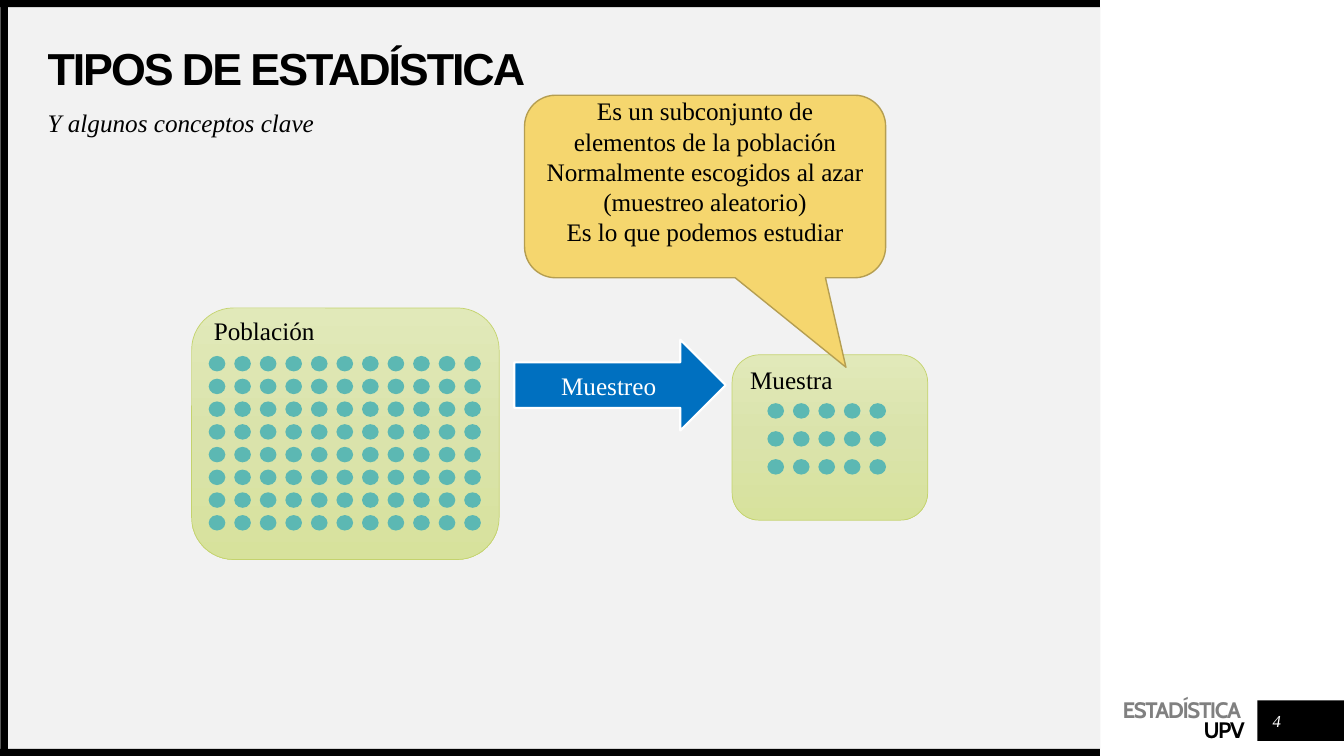
from copy import deepcopy
from dataclasses import dataclass

from pptx import Presentation
from pptx.dml.color import RGBColor as RGB
from pptx.enum.shapes import MSO_SHAPE as Preset
from pptx.enum.text import MSO_ANCHOR as Anchor, PP_ALIGN as Align
from pptx.oxml.ns import qn
from pptx.shapes.autoshape import Shape
from pptx.shapes.shapetree import SlideShapes
from pptx.util import Cm, Length, Pt


@dataclass(frozen=True)
class Theme:
    black: str = "000000"
    white: str = "FFFFFF"
    panel: str = "F2F2F2"
    brand_gray: str = "808080"
    group_stops: tuple[str, ...] = ("E1E9B9", "DAE3AB", "D7E29C")
    group_line: str = "C4D36D"
    element: str = "5CB8B3"
    callout: str = "F5D66E"
    callout_line: str = "B59E51"
    arrow: str = "0070C0"
    title_font: str = "Arial"
    body_font: str = "Times New Roman"
    brand_font: str = "Cabin"
    title_size: int = 32
    body_size: int = 18
    brand_size: int = 16
    number_size: int = 12


@dataclass(frozen=True)
class Box:
    left: float
    top: float
    width: float
    height: float

    def lengths(self) -> tuple[Length, ...]:
        return Cm(self.left), Cm(self.top), Cm(self.width), Cm(self.height)


@dataclass(frozen=True)
class Group:
    label: str
    box: Box
    label_inset: float
    columns: int
    rows: int
    first: tuple[float, float]
    last: tuple[float, float]


THEME = Theme()
ELEMENT_WIDTH, ELEMENT_HEIGHT = 0.42, 0.39

FRAME = (
    (Box(0.2, 0.18, 27.53, 18.69), THEME.panel),
    (Box(31.69, 17.65, 2.18, 1.02), THEME.black),
    (Box(0, 18.87, 27.72, 0.18), THEME.black),
    (Box(0, 0, 27.72, 0.18), THEME.black),
    (Box(0.01, 0.09, 0.19, 18.96), THEME.black),
)

GROUPS = (
    Group("Población", Box(4.83, 7.76, 7.75, 6.34), -0.12, 11, 8, (5.26, 8.97), (11.7, 12.98)),
    Group("Muestra", Box(18.45, 8.94, 4.93, 4.17), 0.05, 5, 3, (19.34, 10.16), (21.91, 11.57)),
)


def write(shape: Shape, *paragraphs: str, size: int = THEME.body_size,
          font: str = THEME.body_font, colors: tuple[str, ...] = (THEME.black,),
          bold: bool = False, italic: bool = False, align: Align = Align.LEFT,
          anchor: Anchor = Anchor.TOP, line_spacing: float | Length = 1.0,
          tracking: float = 0,
          insets: tuple[float, float, float, float] = (0, 0, 0, 0)) -> None:
    frame = shape.text_frame
    frame.word_wrap = True
    frame.vertical_anchor = anchor
    (frame.margin_left, frame.margin_top,
     frame.margin_right, frame.margin_bottom) = map(Cm, insets)
    for index, text in enumerate(paragraphs):
        paragraph = frame.add_paragraph() if index else frame.paragraphs[0]
        paragraph.alignment = align
        paragraph.line_spacing = line_spacing
        run = paragraph.add_run()
        run.text = text
        run.font.name = font
        run.font.size = Pt(size)
        run.font.bold = bold
        run.font.italic = italic
        run.font.color.rgb = RGB.from_string(colors[index % len(colors)])
        if tracking:
            run._r.get_or_add_rPr().set("spc", str(round(tracking * 100)))


def add_preset(shapes: SlideShapes, preset: Preset, box: Box, fill: str | None = None,
               line: str | None = None, line_width: float = 1) -> Shape:
    shape = shapes.add_shape(preset, *box.lengths())
    shape.shadow.inherit = False
    if fill:
        shape.fill.solid()
        shape.fill.fore_color.rgb = RGB.from_string(fill)
    if line:
        shape.line.color.rgb = RGB.from_string(line)
        shape.line.width = Pt(line_width)
    else:
        shape.line.fill.background()
    return shape


def shade(shape: Shape, colors: tuple[str, ...]) -> None:
    shape.fill.gradient()
    shape.fill.gradient_angle = 270
    stop_list = shape._element.spPr.find(".//" + qn("a:gsLst"))
    stop_list.insert(1, deepcopy(stop_list[0]))
    for index, (stop, color) in enumerate(zip(shape.fill.gradient_stops, colors)):
        stop.position = index / (len(colors) - 1)
        stop.color.rgb = RGB.from_string(color)


def draw_group(shapes: SlideShapes, group: Group) -> None:
    container = add_preset(shapes, Preset.ROUNDED_RECTANGLE, group.box,
                           line=THEME.group_line, line_width=0.5)
    shade(container, THEME.group_stops)
    write(container, group.label, insets=(0.25, group.label_inset, 0.25, 0))
    column_step = (group.last[0] - group.first[0]) / (group.columns - 1)
    row_step = (group.last[1] - group.first[1]) / (group.rows - 1)
    for row in range(group.rows):
        for column in range(group.columns):
            place = Box(group.first[0] + column * column_step,
                        group.first[1] + row * row_step, ELEMENT_WIDTH, ELEMENT_HEIGHT)
            add_preset(shapes, Preset.OVAL, place, THEME.element)


def draw_texts(shapes: SlideShapes) -> None:
    brand = shapes.add_textbox(*Box(26.75, 17.63, 4.62, 1.12).lengths())
    write(brand, "ESTADÍSTICA ", "UPV", size=THEME.brand_size, font=THEME.brand_font,
          colors=(THEME.brand_gray, THEME.black), bold=True, align=Align.RIGHT,
          line_spacing=Pt(14), tracking=-1, insets=(0, 0.1, 0, 0))
    title = shapes.add_textbox(*Box(1.2, 1.2, 25.55, 1.2).lengths())
    write(title, "TIPOS DE ESTADÍSTICA", size=THEME.title_size, font=THEME.title_font,
          bold=True, anchor=Anchor.MIDDLE, line_spacing=0.9, tracking=-1.5)
    subtitle = shapes.add_textbox(*Box(1.2, 2.79, 25.55, 1).lengths())
    write(subtitle, "Y algunos conceptos clave", italic=True, line_spacing=0.9)
    page_number = shapes.add_textbox(*Box(31.8, 17.78, 0.76, 0.76).lengths())
    write(page_number, "4", size=THEME.number_size, colors=(THEME.white,), italic=True,
          align=Align.CENTER, anchor=Anchor.MIDDLE)


def draw_sampling(shapes: SlideShapes) -> None:
    definition = add_preset(shapes, Preset.ROUNDED_RECTANGULAR_CALLOUT,
                            Box(13.22, 2.4, 9.1, 4.6), THEME.callout, THEME.callout_line)
    for index, value in enumerate((0.39, 0.99, 0.17)):
        definition.adjustments[index] = value
    write(definition, "Es un subconjunto de elementos de la población",
          "Normalmente escogidos al azar (muestreo aleatorio)",
          "Es lo que podemos estudiar", align=Align.CENTER, anchor=Anchor.MIDDLE,
          insets=(0.25, 0.13, 0.25, 0.89))
    sampling = add_preset(shapes, Preset.RIGHT_ARROW, Box(12.96, 8.56, 5.33, 2.29),
                          THEME.arrow, THEME.white, 1.5)
    write(sampling, "Muestreo", colors=(THEME.white,), align=Align.CENTER,
          anchor=Anchor.MIDDLE, insets=(0.25, 0.13, 0.25, 0.13))


def main() -> None:
    presentation = Presentation()
    presentation.slide_width, presentation.slide_height = Cm(33.87), Cm(19.05)
    shapes = presentation.slides.add_slide(presentation.slide_layouts[6]).shapes
    for box, color in FRAME:
        add_preset(shapes, Preset.RECTANGLE, box, color)
    draw_texts(shapes)
    for group in GROUPS:
        draw_group(shapes, group)
    draw_sampling(shapes)
    presentation.save("out.pptx")


if __name__ == "__main__":
    main()
